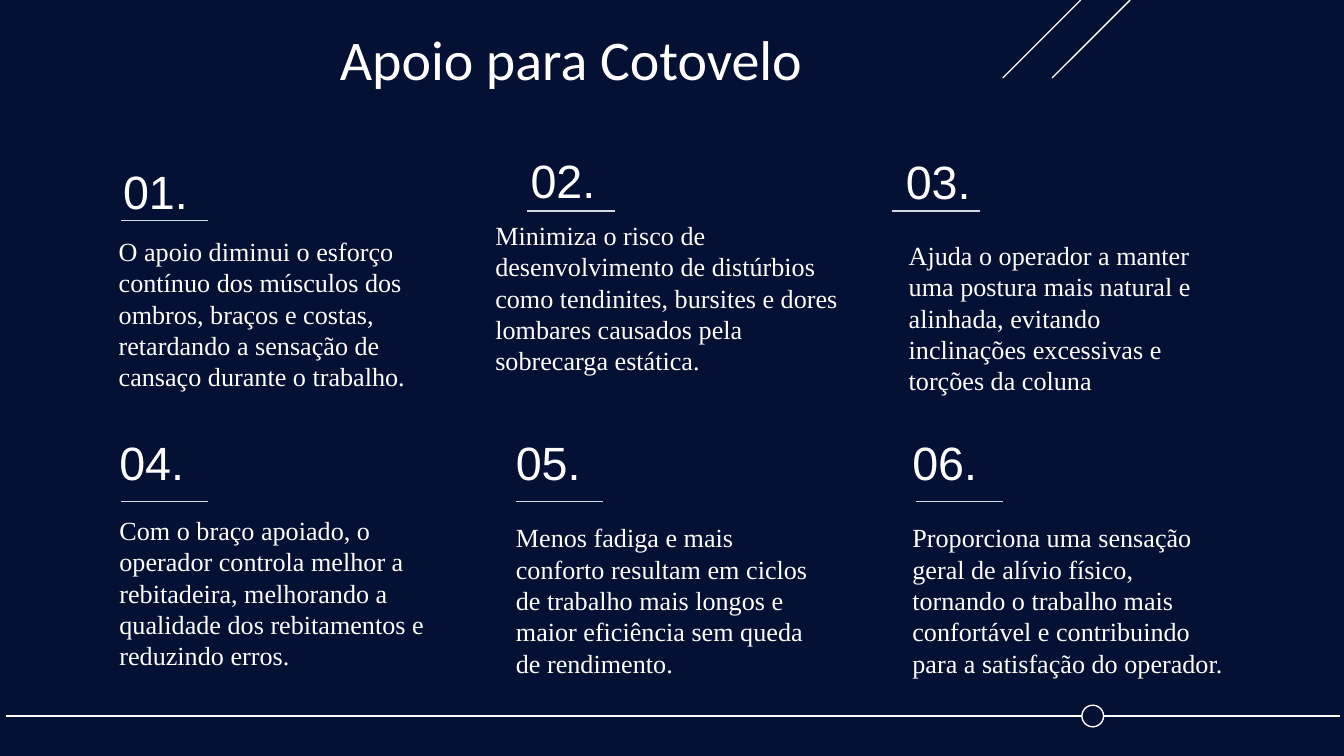
from dataclasses import dataclass

import pptx
import pptx.dml.color
import pptx.enum.shapes
import pptx.enum.text
import pptx.oxml.xmlchemy
import pptx.util

Pt = pptx.util.Pt
Anchor = pptx.enum.text.MSO_ANCHOR
Pair = tuple[float, float]


@dataclass(frozen=True)
class Font:
    name: str
    size: float


@dataclass(frozen=True)
class Theme:
    back: str = "041034"
    text: str = "FFFFFF"
    rule: str = "D2DAE4"
    head: Font = Font("Calibri", 30)
    num: Font = Font("Arial", 25)
    body: Font = Font("Times New Roman", 14)
    inset: float = 7.2
    stroke: float = 0.75


@dataclass(frozen=True)
class Item:
    """One numbered block; num, rule and body are shifts from its grid cell."""
    text: str
    num: Pair = (0, 0)
    rule: Pair = (7.9, 38.9)
    body: Pair = (0, 42.6)
    wide: float = 181.4


THEME = Theme()

# Page and grid, in points
PAGE = (720, 405)
COLS = 3
START = (56.9, 78.5)    # first cell
STEP = (212.4, 151.2)   # from cell to cell
NUM_SIZE = (57.6, 35.3)
BODY_HIGH = 62
RULE_WIDE = 46.8

ITEMS = [
    Item("O apoio diminui o esforço contínuo dos músculos dos ombros, braços e "
         "costas, retardando a sensação de cansaço durante o trabalho.",
         num=(2, 6.2), rule=(7.9, 39.5), body=(-0.4, 40.3)),
    Item("Minimiza o risco de desenvolvimento de distúrbios como tendinites, "
         "bursites e dores lombares causados pela sobrecarga estática.",
         num=(7.9, 0), rule=(13.2, 34.5), body=(-11, 31.7), wide=204.5),
    Item("Ajuda o operador a manter uma postura mais natural e alinhada, "
         "evitando inclinações excessivas e torções da coluna",
         num=(-3.5, 0.7), rule=(-3.7, 34.5), body=(-2, 42.5)),
    Item("Com o braço apoiado, o operador controla melhor a rebitadeira, "
         "melhorando a qualidade dos rebitamentos e reduzindo erros.",
         body=(0, 38.6)),
    Item("Menos fadiga e mais conforto resultam em ciclos de trabalho mais "
         "longos e maior eficiência sem queda de rendimento.",
         rule=(7.2, 38.9)),
    Item("Proporciona uma sensação geral de alívio físico, tornando o trabalho "
         "mais confortável e contribuindo para a satisfação do operador.",
         rule=(8.8, 38.9)),
]


def tint(code: str) -> pptx.dml.color.RGBColor:
    return pptx.dml.color.RGBColor.from_string(code)


def shift(spot: Pair, by: Pair) -> Pair:
    return spot[0] + by[0], spot[1] + by[1]


def apply(part, form: dict) -> None:
    """Set each attribute named in form."""
    for name, value in form.items():
        setattr(part, name, value)


def write(shape, text: str, font: Font, anchor=Anchor.TOP) -> None:
    """Fill a box or placeholder with one formatted paragraph."""
    frame = shape.text_frame
    apply(frame, {f"margin_{side}": Pt(THEME.inset)
                  for side in ("left", "top", "right", "bottom")})
    apply(frame, {"word_wrap": True, "vertical_anchor": anchor,
                  "auto_size": pptx.enum.text.MSO_AUTO_SIZE.NONE})
    para = frame.paragraphs[0]
    apply(para, {"text": text, "alignment": pptx.enum.text.PP_ALIGN.LEFT})
    apply(para.font, {"name": font.name, "size": Pt(font.size)})
    para.font.color.rgb = tint(THEME.text)


def box(slide, spot: Pair, size: Pair, text: str, font: Font,
        anchor=Anchor.TOP) -> None:
    shape = slide.shapes.add_textbox(*map(Pt, spot + size))
    write(shape, text, font, anchor)


def stroke(shape, code: str) -> None:
    shape.line.color.rgb = tint(code)
    shape.line.width = Pt(THEME.stroke)


def line(slide, start: Pair, end: Pair, code: str) -> None:
    link = slide.shapes.add_connector(
        pptx.enum.shapes.MSO_CONNECTOR.STRAIGHT, *map(Pt, start + end))
    stroke(link, code)
    # An empty effect list removes the shadow
    link._element.spPr.append(pptx.oxml.xmlchemy.OxmlElement("a:effectLst"))


def decor(slide) -> None:
    # Footer line, broken by a ring
    left, size, mid = 579.6, 11.6, 383.6
    for start, end in ((3.4, left), (left + size, 718)):
        line(slide, (start, mid), (end, mid), THEME.text)
    ring = slide.shapes.add_shape(
        pptx.enum.shapes.MSO_SHAPE.OVAL,
        *map(Pt, (left, mid - size / 2, size, size)))
    ring.shadow.inherit = False
    ring.fill.background()
    stroke(ring, THEME.text)

    # Slanted lines, at 45 degrees up to the top edge
    rise = 41.8
    for foot in (537.2, 563.6):
        line(slide, (foot, rise), (foot + rise, 0), THEME.text)


def block(slide, rank: int, item: Item) -> None:
    """Draw number, short rule and text in the grid cell for this rank."""
    row, col = divmod(rank, COLS)
    cell = shift(START, (col * STEP[0], row * STEP[1]))
    box(slide, shift(cell, item.num), NUM_SIZE, f"{rank + 1:02}.",
        THEME.num, Anchor.MIDDLE)
    start = shift(cell, item.rule)
    line(slide, start, shift(start, (RULE_WIDE, 0)), THEME.rule)
    box(slide, shift(cell, item.body), (item.wide, BODY_HIGH), item.text,
        THEME.body)


def main() -> None:
    deck = pptx.Presentation()
    apply(deck, dict(zip(("slide_width", "slide_height"), map(Pt, PAGE))))
    slide = deck.slides.add_slide(deck.slide_layouts[5])  # title only
    slide.background.fill.solid()
    slide.background.fill.fore_color.rgb = tint(THEME.back)
    decor(slide)

    # Title
    title = slide.shapes.title
    apply(title, {"left": Pt(174.8), "top": Pt(5.8),
                  "width": Pt(540), "height": Pt(45.4)})
    write(title, "Apoio para Cotovelo", THEME.head)

    # Numbered blocks
    for rank, item in enumerate(ITEMS):
        block(slide, rank, item)
    deck.save("out.pptx")


if __name__ == "__main__":
    main()
